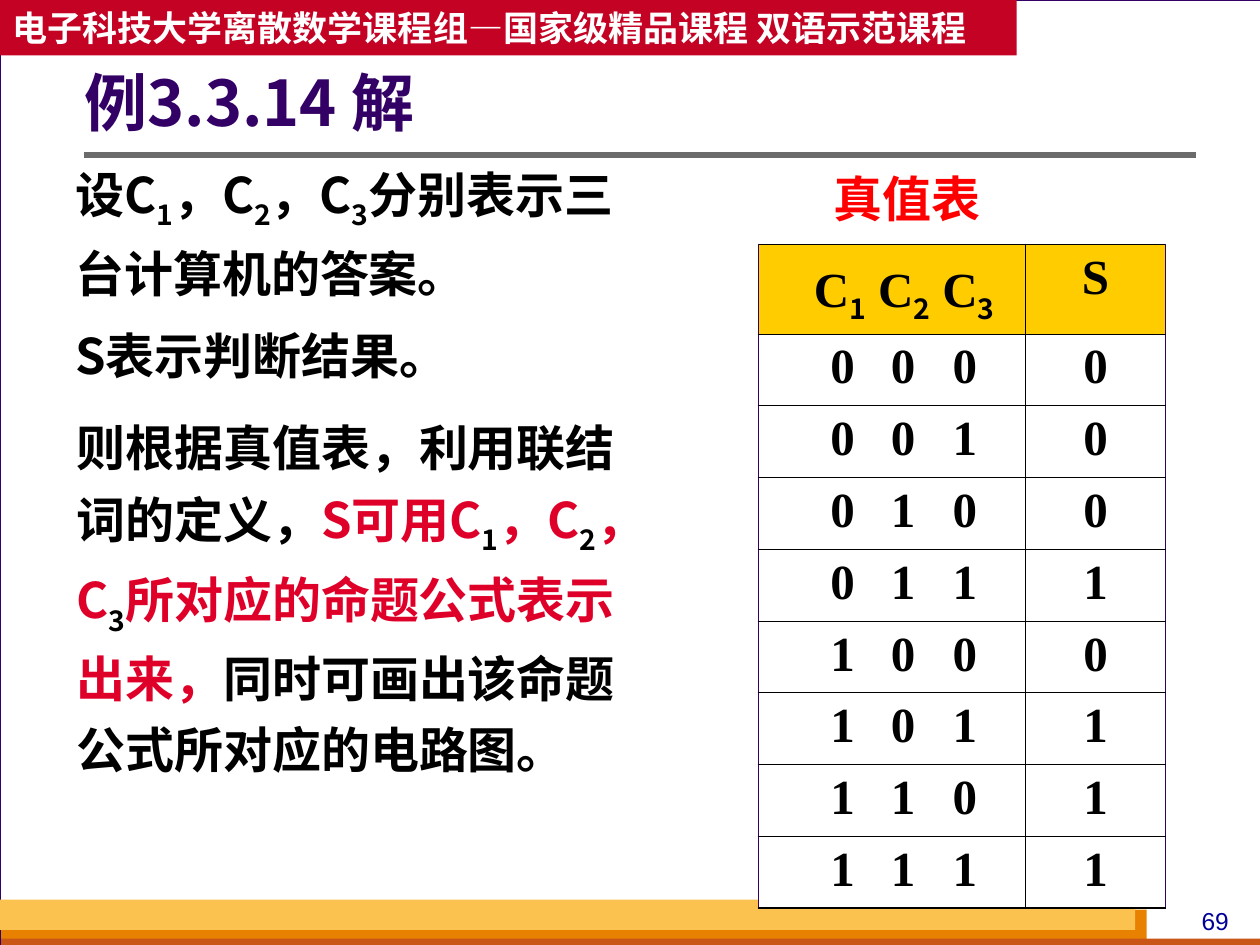
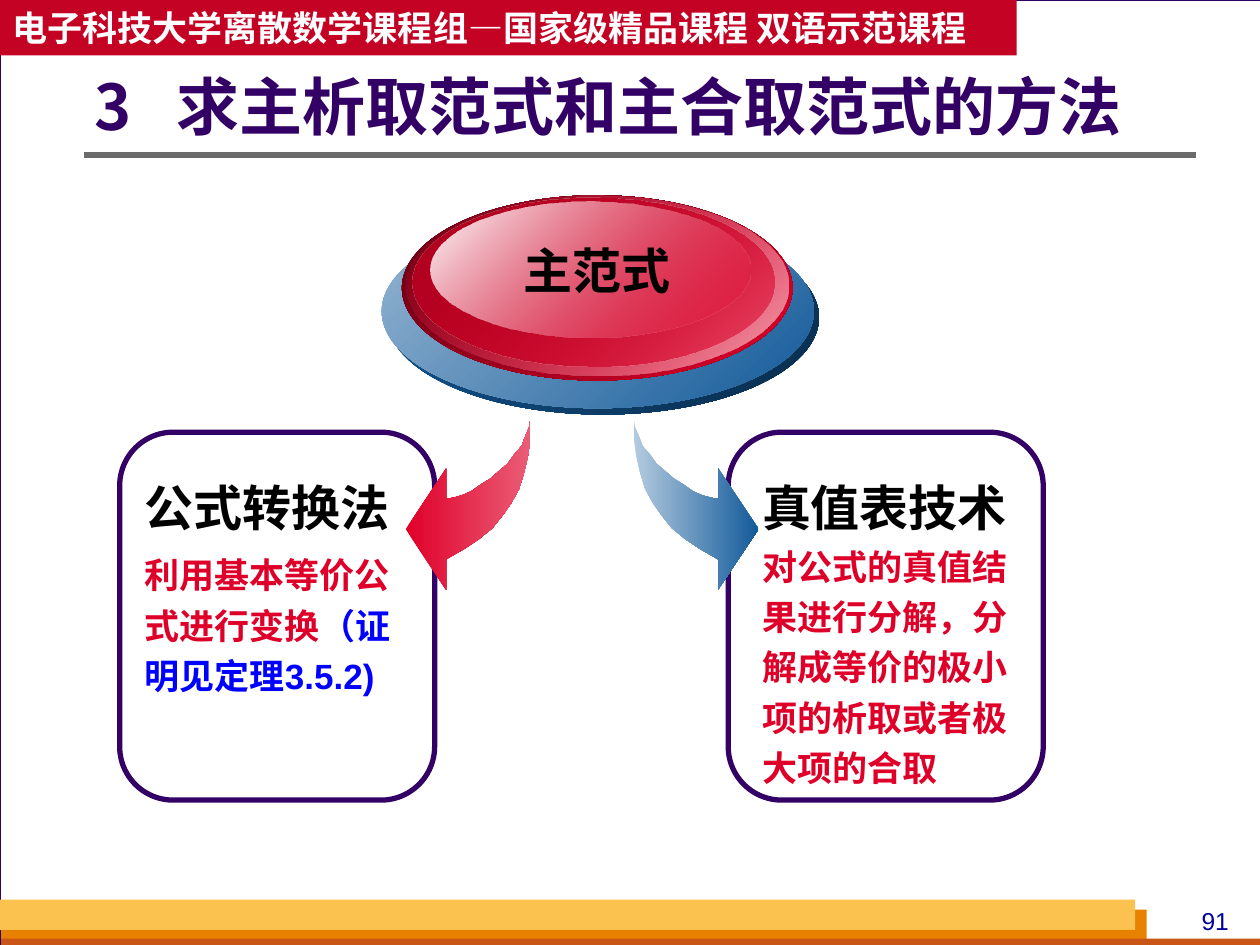
from pptx import Presentation
from pptx.dml.color import RGBColor
from pptx.enum.shapes import MSO_CONNECTOR, MSO_SHAPE
from pptx.enum.text import MSO_ANCHOR, MSO_AUTO_SIZE, PP_ALIGN
from pptx.oxml.ns import qn
from pptx.oxml.xmlchemy import OxmlElement
from pptx.util import Inches, Pt

RECT, ROUND, OVAL = MSO_SHAPE.RECTANGLE, MSO_SHAPE.ROUNDED_RECTANGLE, MSO_SHAPE.OVAL
LEFT, CENTER = PP_ALIGN.LEFT, PP_ALIGN.CENTER
MIDDLE = MSO_ANCHOR.MIDDLE


class Theme:
    han, sans, serif = "Noto Sans CJK SC", "Arial", "Times New Roman"
    title, body, small, page = 36, 28, 20, 14
    back, white, black = "D8DADA", "FFFFFF", "000000"
    purple, rule, banner, number = "330066", "6B6B6B", "C30224", "000099"
    orange, rust, gold, head = "E88000", "C95616", "FCC24F", "FFCC00"
    bright, red, pink, blue = "FF0000", "DF0029", "EB5D77", "0000FF"
    navy, sky = "135A9A", "B4CBDF"


def write(para, parts, size, font=Theme.han, bold=True, align=LEFT, tabs=()):
    """Fill a paragraph with (text, colour) parts; _x_ marks a subscript."""
    para.alignment = align
    layout = para._p.get_or_add_pPr()
    layout.set("hangingPunct", "0")
    if tabs:
        stops = OxmlElement("a:tabLst")
        for place in tabs:
            stop = OxmlElement("a:tab")
            stop.set("pos", str(Inches(place)))
            stop.set("algn", "l")
            stops.append(stop)
        layout.append(stops)
    para.font.size, para.font.name, para.font.bold = Pt(size), font, bold
    para.font.color.rgb = RGBColor.from_string(parts[0][1])
    for text, color in parts:
        for i, piece in enumerate(text.split("_")):
            if not piece:
                continue
            run = para.add_run()
            run.text = piece
            props = run._r.get_or_add_rPr()
            if i % 2:
                run.font.name = Theme.han
                props.set("baseline", "-25000")
            elif color != parts[0][1]:
                run.font.color.rgb = RGBColor.from_string(color)
            east = OxmlElement("a:ea")
            east.set("typeface", Theme.han)
            props.append(east)


def shade(shape, colors, angle, alphas=(100, 100)):
    """Give a shape a two-colour gradient without outline or shadow."""
    shape.shadow.inherit = False
    shape.line.fill.background()
    shape.fill.gradient()
    shape.fill.gradient_angle = -angle % 360
    for stop, color in zip(shape.fill.gradient_stops, colors):
        stop.color.rgb = RGBColor.from_string(color)
    for node, alpha in zip(shape.element.iter(qn("a:srgbClr")), alphas):
        if alpha < 100:
            mark = OxmlElement("a:alpha")
            mark.set("val", str(alpha * 1000))
            node.append(mark)


deck = Presentation()
deck.slide_width, deck.slide_height = Inches(10), Inches(7.5)

# Frame shared by both slides
bands = [
    ((0, 0, 10.01, 7.5), Theme.white),
    ((0.01, 7.22, 9.09, 0.28), Theme.orange),
    ((0.01, 7.45, 10, 0.08), Theme.rust),
    ((0, 7.14, 9.01, 0.24), Theme.gold),
    ((0, 0, 8.07, 0.44), Theme.banner),
]
pages = [
    ("69", "例3.3.14 解", (0.67, 0.46, 8.82, 0.77)),
    ("91", "3\t求主析取范式和主合取范式的方法", (0.75, 0.62, 8.49, 0.51)),
]
for number, heading, box in pages:
    slide = deck.slides.add_slide(deck.slide_layouts[5])
    slide.background.fill.solid()
    slide.background.fill.fore_color.rgb = RGBColor.from_string(Theme.back)
    for place, color in bands:
        band = slide.shapes.add_shape(RECT, *map(Inches, place))
        band.shadow.inherit = False
        band.fill.solid()
        band.fill.fore_color.rgb = RGBColor.from_string(color)
        if color == Theme.white:
            band.line.color.rgb = RGBColor.from_string(Theme.purple)
            band.line.width = Pt(0.75)
        else:
            band.line.fill.background()
    frame = band.text_frame
    frame.word_wrap, frame.vertical_anchor = False, MIDDLE
    write(frame.paragraphs[0],
          [("电子科技大学离散数学课程组—国家级精品课程 双语示范课程", Theme.white)],
          Theme.small)

    rule = slide.shapes.add_connector(
        MSO_CONNECTOR.STRAIGHT, *map(Inches, (0.67, 1.23, 9.49, 1.23)))
    rule.line.color.rgb = RGBColor.from_string(Theme.rule)
    rule.line.width = Pt(3)
    rule.element.find(qn("p:spPr")).append(OxmlElement("a:effectLst"))

    frame = slide.shapes.add_textbox(*map(Inches, (9.33, 7.14, 0.63, 0.34))).text_frame
    frame.word_wrap = True
    write(frame.paragraphs[0], [(number, Theme.number)], Theme.page,
          Theme.sans, False, CENTER)

    title = slide.shapes.title
    slide.shapes.element.append(title.element)  # bring above the white panel
    title.left, title.top, title.width, title.height = map(Inches, box)
    frame = title.text_frame
    frame.margin_left, frame.vertical_anchor = 0, MIDDLE
    frame.auto_size = MSO_AUTO_SIZE.NONE
    write(frame.paragraphs[0], [(heading, Theme.purple)], Theme.title, tabs=(0.65,))
    frame.paragraphs[0].line_spacing = 0.9

# Slide 1: explanation and truth table
solve, method = deck.slides
texts = [
    ((0.5, 1.15, 4.58, 1.97), 1.2, [
        [("设C_1_，C_2_，C_3_分别表示三台计算机的答案。", Theme.black)],
        [("S表示判断结果。", Theme.black)]]),
    ((6.52, 1.29, 1.6, 0.57), 1, [[("真值表", Theme.bright)]]),
    ((0.51, 3.17, 4.8, 3.06), 1.2, [[
        ("则根据真值表，利用联结词的定义，", Theme.black),
        ("S可用C", Theme.red), ("_1_", Theme.black),
        ("，C", Theme.red), ("_2_", Theme.black),
        ("，C", Theme.red), ("_3_", Theme.black),
        ("所对应的命题公式表示出来，", Theme.red),
        ("同时可画出该命题公式所对应的电路图。", Theme.black)]]),
]
for box, spacing, paras in texts:
    frame = solve.shapes.add_textbox(*map(Inches, box)).text_frame
    frame.word_wrap = True
    for i, parts in enumerate(paras):
        para = frame.add_paragraph() if i else frame.paragraphs[0]
        write(para, parts, Theme.body)
        para.line_spacing = spacing
        if i:
            para.space_before = Pt(7)

rows = [("C_1_ C_2_ C_3_", "S")]
for n, result in enumerate("00010111"):
    rows.append(("\t".join(f"{n:03b}"), result))
table = solve.shapes.add_table(
    len(rows), 2, *map(Inches, (6.02, 1.94, 3.23, 5.27))).table
for col, width in zip(table.columns, (2.12, 1.11)):
    col.width = Inches(width)
for r, values in enumerate(rows):
    table.rows[r].height = Inches(0.57 if r else 0.71)
    for c, value in enumerate(values):
        cell = table.cell(r, c)
        cell.fill.solid()
        cell.fill.fore_color.rgb = RGBColor.from_string(
            Theme.white if r else Theme.head)
        if c == 0:
            cell.margin_left = Inches(0.57 if r else 0.44)
        write(cell.text_frame.paragraphs[0], [(value, Theme.black)], Theme.body,
              Theme.serif, align=CENTER if c else LEFT,
              tabs=(0.48, 0.97) if r and not c else ())
        edges = [("L", c == 0), ("R", c == 1), ("T", r == 0), ("B", r == len(rows) - 1)]
        for i, (side, outer) in enumerate(edges):
            edge = OxmlElement(f"a:ln{side}")
            edge.set("w", str(Pt(1.08 if outer else 0.45)))
            paint, tint = OxmlElement("a:solidFill"), OxmlElement("a:srgbClr")
            tint.set("val", Theme.purple if outer and side in "LR" else Theme.black)
            paint.append(tint)
            edge.append(paint)
            cell._tc.get_or_add_tcPr().insert(i, edge)

# Slide 2: two methods below the central disc
curve = [  # from the arrow's tail, x measured towards its tip
    (0, 0), (0, 0.16), (0.02, 0.3), (0.05, 0.43), (0.09, 0.56), (0.15, 0.67),
    (0.22, 0.77), (0.3, 0.87), (0.41, 0.96), (0.53, 1.04), (0.67, 1.12),
    (0.67, 1.36), (0.99, 0.88), (0.67, 0.4), (0.67, 0.64), (0.61, 0.63),
    (0.54, 0.61), (0.47, 0.58), (0.4, 0.53), (0.32, 0.48), (0.25, 0.42),
    (0.18, 0.36), (0.13, 0.29), (0.07, 0.22), (0.04, 0.14), (0.01, 0.07),
]
formula = [[("公式转换法", Theme.black)],
           [("利用基本等价公式进行变换", Theme.red), ("（证明见定理3.5.2)", Theme.blue)]]
truth = [[("真值表技术", Theme.black),
          ("对公式的真值结果进行分解，分解成等价的极小项的析取或者极大项的合取", Theme.red)]]
sides = [
    (0.95, 1.05, formula, Theme.sans, 4.21, -1, (Theme.red, Theme.pink)),
    (5.78, 5.95, truth, Theme.han, 5.03, 1, (Theme.sky, Theme.navy)),
]
for left, inner, paras, font, tail, sign, colors in sides:
    panel = method.shapes.add_shape(ROUND, *map(Inches, (left, 3.43, 2.5, 2.92)))
    panel.adjustments[0] = 0.17
    panel.shadow.inherit = False
    panel.fill.background()
    panel.line.color.rgb = RGBColor.from_string(Theme.purple)
    panel.line.width = Pt(3)
    frame = method.shapes.add_textbox(*map(Inches, (inner, 3.65, 2.23, 2.66))).text_frame
    frame.word_wrap = True
    for i, parts in enumerate(paras):
        para = frame.add_paragraph() if i else frame.paragraphs[0]
        write(para, parts, Theme.small if i else Theme.body, font)
        para.line_spacing = 1.2
        if i:
            para.space_before = Pt(5)
        else:
            for run in para.runs[1:]:
                run.font.size = Pt(Theme.small)

    points = [(Inches(tail + sign * x), Inches(3.32 + y)) for x, y in curve]
    pen = method.shapes.build_freeform(*points[0])
    pen.add_line_segments(points[1:], close=True)
    shade(pen.convert_to_shape(), colors, 0)

discs = [
    ((3.07, 1.75, 3.43, 1.54), (Theme.navy, "092C4B"), (100, 100)),
    ((3.03, 1.7, 3.43, 1.54), ("96B6D2", Theme.navy), (100, 100)),
    ((3.19, 1.55, 3.1, 1.47), ("670013", Theme.red), (100, 100)),
    ((3.23, 1.55, 3.03, 1.43), (Theme.red, "F4A6B4"), (0, 100)),
    ((3.27, 1.57, 2.88, 1.34), ("B10020", Theme.red), (100, 48)),
    ((3.42, 1.6, 2.54, 1.08), (Theme.white, Theme.red), (100, 38)),
]
for box, colors, alphas in discs:
    shade(method.shapes.add_shape(OVAL, *map(Inches, box)), colors, 45, alphas)
frame = method.shapes.add_textbox(*map(Inches, (3.93, 1.86, 1.62, 0.57))).text_frame
frame.word_wrap = True
write(frame.paragraphs[0], [("主范式", Theme.black)], Theme.body, Theme.sans, align=CENTER)

deck.save("out.pptx")
